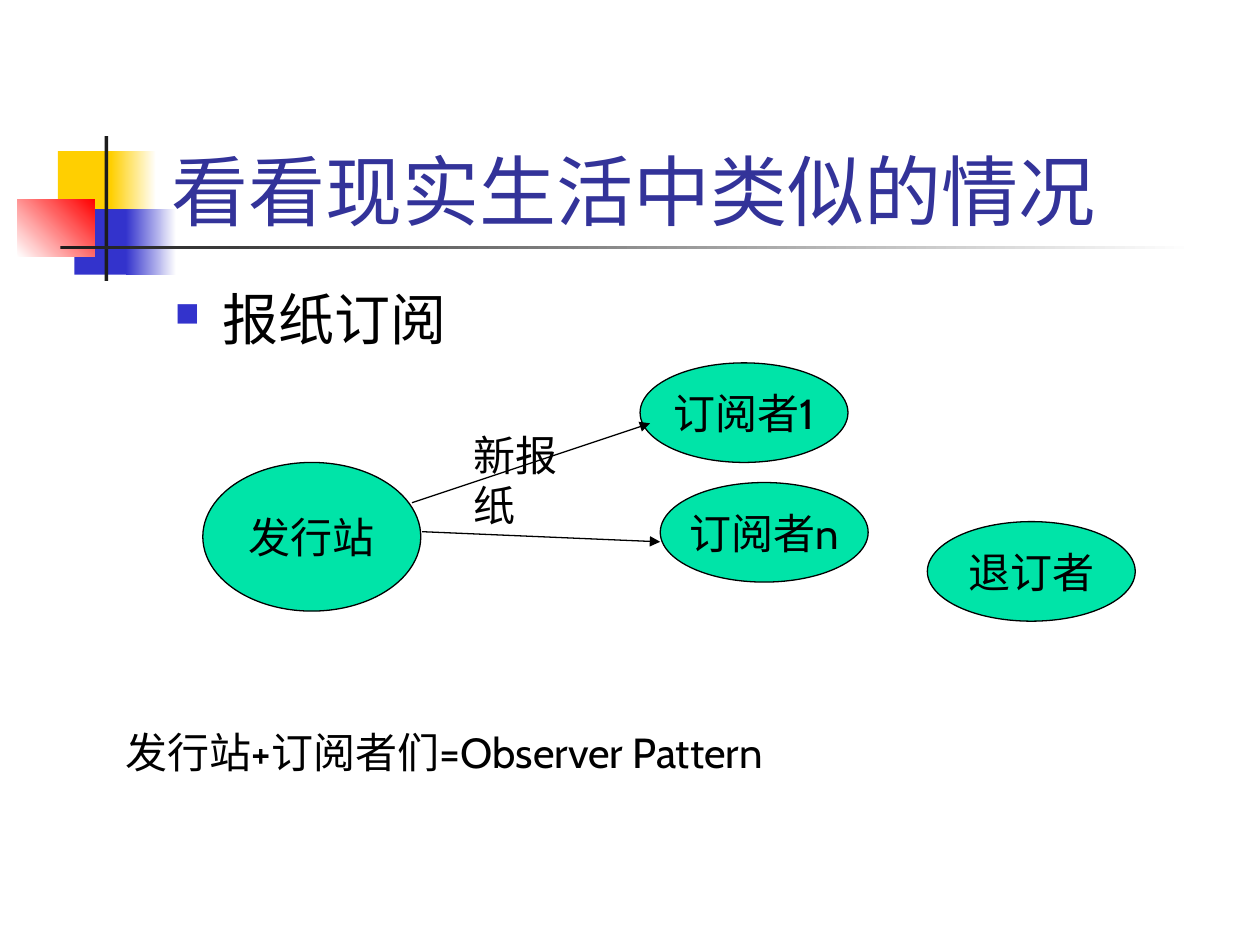
from dataclasses import dataclass

from pptx import Presentation
from pptx import util as u
from pptx.dml.color import RGBColor as Rgb
from pptx.enum import shapes, text
from pptx.oxml.xmlchemy import OxmlElement


@dataclass(frozen=True)
class Theme:
    face: str = "Cabin"
    head: int = 44
    body: int = 32
    label: int = 24
    title: str = "333399"
    ink: str = "000000"
    oval: str = "00E4A8"
    gold: str = "FFCF01"
    blue: str = "3333CC"
    red: str = "FF0000"
    dark: str = "1C1C1C"
    white: str = "FFFFFF"


theme = Theme()


def put(frame, words, size, color=theme.ink, align=text.PP_ALIGN.LEFT):
    para = frame.paragraphs[0]
    para.text = words
    para.alignment = align
    para.font.name = theme.face
    para.font.size = u.Pt(size)
    para.font.color.rgb = Rgb.from_string(color)


def add(tree, tag, **attrs):
    node = OxmlElement(tag)
    for key, val in attrs.items():
        node.set(key, val)
    tree.append(node)
    return node


deck = Presentation()
deck.slide_width, deck.slide_height = u.Inches(10), u.Inches(7.5)
slide = deck.slides.add_slide(deck.slide_layouts[5])
items = slide.shapes

decor = [
    (0.46, 1.2, 0.48, 0.52, [theme.gold], 0),
    (0.88, 1.2, 0.36, 0.52, [theme.gold, theme.white], 0),
    (0.59, 1.66, 0.46, 0.52, [theme.blue], 0),
    (1, 1.66, 0.4, 0.52, [theme.blue, theme.white], 0),
    (0.14, 1.58, 0.61, 0.46, [theme.white, theme.red], 45),
    (0.83, 1.08, 0.03, 1.15, [theme.dark], 0),
    (0.48, 1.95, 9, 0.03, [theme.dark, theme.white], 0),
]
for *box, colors, angle in decor:
    block = items.add_shape(shapes.MSO_SHAPE.RECTANGLE, *map(u.Inches, box))
    block.shadow.inherit = False
    block.line.fill.background()
    if len(colors) == 1:
        block.fill.solid()
        block.fill.fore_color.rgb = Rgb.from_string(colors[0])
    else:
        block.fill.gradient()
        block.fill.gradient_angle = angle
        for stop, color in zip(block.fill.gradient_stops, colors):
            stop.color.rgb = Rgb.from_string(color)

title = items.title
title.left, title.top = u.Inches(1.26), u.Inches(0.67)
title.width, title.height = u.Inches(8.52), u.Inches(1.25)
title.text_frame.auto_size = text.MSO_AUTO_SIZE.NONE
title.text_frame.vertical_anchor = text.MSO_ANCHOR.BOTTOM
put(title.text_frame, "看看现实生活中类似的情况", theme.head, theme.title)

ovals = [
    ("发行站", 1.61, 3.67, 1.73, 1.18),
    ("订阅者1", 5.08, 2.88, 1.65, 0.79),
    ("订阅者n", 5.24, 3.83, 1.65, 0.79),
    ("退订者", 7.36, 4.14, 1.65, 0.79),
]
for words, *box in ovals:
    oval = items.add_shape(shapes.MSO_SHAPE.OVAL, *map(u.Inches, box))
    oval.shadow.inherit = False
    oval.fill.solid()
    oval.fill.fore_color.rgb = Rgb.from_string(theme.oval)
    oval.line.color.rgb = Rgb.from_string(theme.ink)
    oval.line.width = u.Pt(0.75)
    oval.text_frame.word_wrap = False
    oval.text_frame.vertical_anchor = text.MSO_ANCHOR.MIDDLE
    put(oval.text_frame, words, theme.label, align=text.PP_ALIGN.CENTER)

for ends in [(3.27, 3.99, 5.16, 3.36), (3.35, 4.22, 5.24, 4.3)]:
    arrow = items.add_connector(shapes.MSO_CONNECTOR.STRAIGHT, *map(u.Inches, ends))
    arrow.line.color.rgb = Rgb.from_string(theme.ink)
    arrow.line.width = u.Pt(0.75)
    add(arrow.line._get_or_add_ln(), "a:tailEnd", type="triangle")
    add(arrow._element.spPr, "a:effectLst")

notes = [
    ("报纸订阅", theme.body, True, 1.29, 2.21, 2.45, 0.68),
    ("新报纸", theme.label, False, 3.66, 3.36, 0.87, 0.9),
    ("发行站+订阅者们=Observer Pattern", theme.label, False, 0.9, 5.72, 8.11, 0.5),
]
for words, size, listed, *box in notes:
    frame = items.add_textbox(*map(u.Inches, box)).text_frame
    frame.word_wrap = True
    if listed:
        props = frame.paragraphs[0]._p.get_or_add_pPr()
        props.set("marL", str(u.Inches(0.38)))
        props.set("indent", str(-u.Inches(0.38)))
        add(add(props, "a:buClr"), "a:srgbClr", val=theme.blue)
        add(props, "a:buSzPct", val="60000")
        add(props, "a:buChar", char="■")
    put(frame, words, size)

deck.save("out.pptx")
